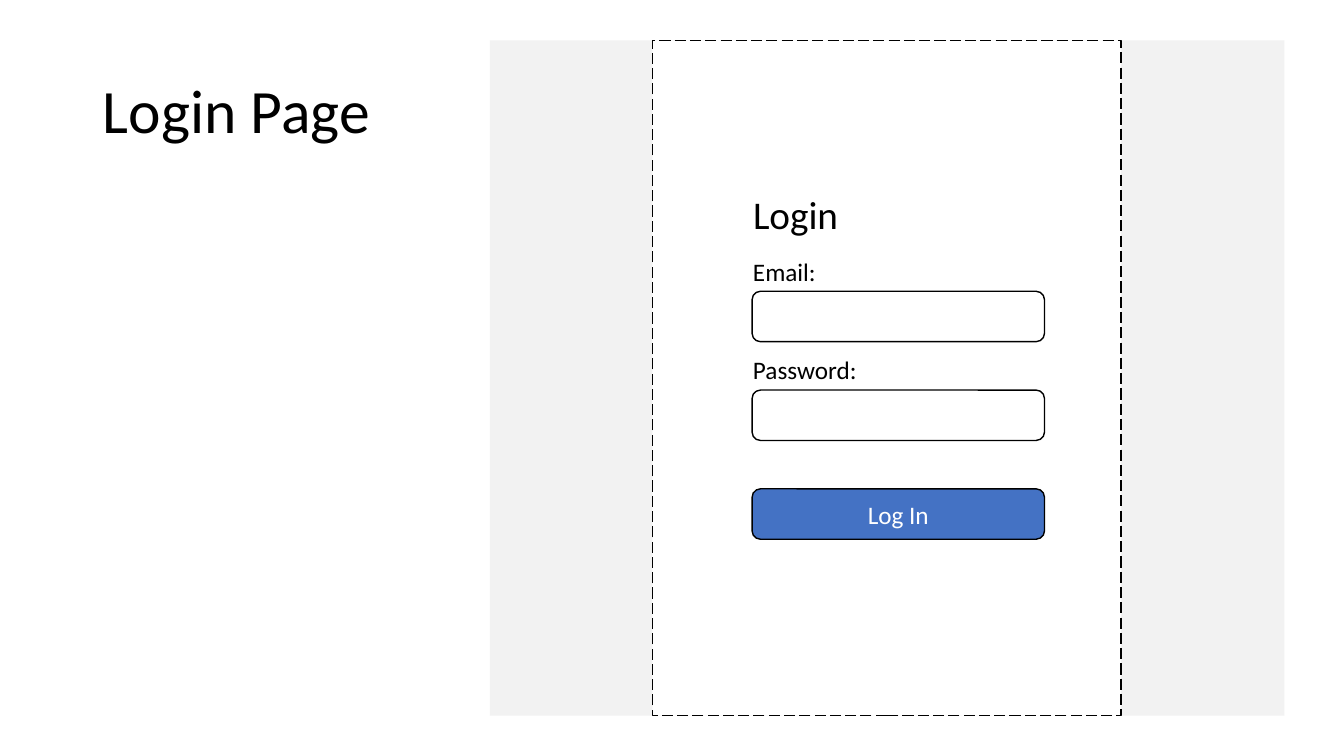
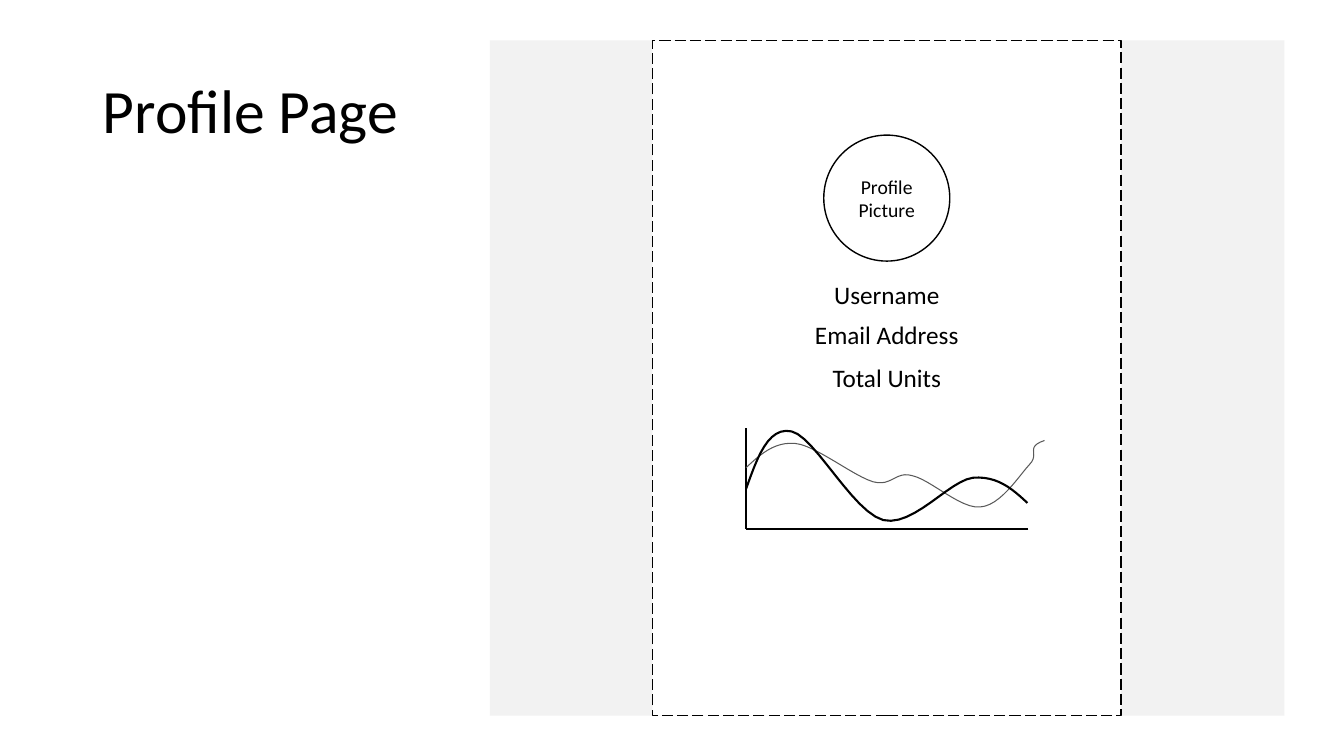
from pptx import Presentation
from pptx import util as u
from pptx.dml.color import RGBColor
from pptx.enum import dml, shapes, text
from pptx.oxml.ns import qn
from lxml import etree

FONT = "Calibri"
BLACK, WHITE, PANEL_GREY, CURVE_GREY, BLUE = "000000", "FFFFFF", "F2F2F2", "595959", "4472C4"
WIDTH, HEIGHT = 13.33, 7.5
TOP, BODY_HEIGHT = 0.4, 6.7
PANEL = (4.86, TOP, 7.88, BODY_HEIGHT)
FRAME = (6.47, TOP, 4.65, BODY_HEIGHT)
TITLE = (0.92, TOP, 11.5, 1.45)
LINE_HEIGHT = 0.4

# Login form: a column of equal fields
FIELD_LEFT, FIELD_TOP, FIELD_WIDTH, FIELD_HEIGHT, FIELD_PITCH = 7.46, 2.89, 2.9, 0.5, 0.98
LABEL_LEFT = 7.37

# Sketched chart: origin, extent, and curves as Bezier control points
AXIS_LEFT, AXIS_BOTTOM, AXIS_WIDTH, AXIS_HEIGHT = 7.4, 5.25, 2.8, 1
CURVE_STEPS = 12
CURVES = [
    (CURVE_GREY, 0.75, [
        (7.4, 4.64), (7.54, 4.51), (7.68, 4.38), (7.89, 4.4), (8.09, 4.42), (8.46, 4.72),
        (8.66, 4.78), (8.85, 4.83), (8.88, 4.67), (9.05, 4.72), (9.23, 4.76), (9.53, 5.05),
        (9.72, 5.03), (9.92, 5.02), (10.1, 4.73), (10.21, 4.61), (10.32, 4.5), (10.16, 4.44),
        (10.36, 4.37)]),
    (BLACK, 1.5, [
        (7.4, 4.85), (7.51, 4.54), (7.62, 4.23), (7.85, 4.28), (8.08, 4.33), (8.46, 5.08),
        (8.76, 5.16), (9.06, 5.23), (9.41, 4.77), (9.65, 4.74), (9.89, 4.72), (10.04, 4.85),
        (10.19, 4.99)]),
]


def color(value):
    """Turn a hex string into a colour."""
    return RGBColor.from_string(value)


def inches(values):
    """Convert a sequence of inches to lengths."""
    return [u.Inches(value) for value in values]


def write(shape, words, size=18, ink=BLACK, align=text.PP_ALIGN.LEFT,
          anchor=text.MSO_ANCHOR.TOP, wrap=True, spacing=None):
    """Put one formatted paragraph into a shape."""
    frame = shape.text_frame
    frame.word_wrap = wrap
    frame.vertical_anchor = anchor
    para = frame.paragraphs[0]
    para.alignment = align
    para.line_spacing = spacing
    span = para.add_run()
    span.text = words
    span.font.name = FONT
    span.font.size = u.Pt(size)
    span.font.color.rgb = color(ink)


def set_line(line, ink, width):
    """Give a line its colour and width."""
    line.color.rgb = color(ink)
    line.width = u.Pt(width)


def add_box(page, kind, place, fill=WHITE, ink=BLACK):
    """Add a filled preset shape, outlined unless ink is None."""
    box = page.shapes.add_shape(kind, *inches(place))
    box.shadow.inherit = False
    box.fill.solid()
    box.fill.fore_color.rgb = color(fill)
    if ink:
        set_line(box.line, ink, 1)
    else:
        box.line.fill.background()
    return box


def add_label(page, words, place, **style):
    """Add a text box that grows with its text."""
    label = page.shapes.add_textbox(*inches(place))
    write(label, words, **style)
    label.text_frame.auto_size = text.MSO_AUTO_SIZE.SHAPE_TO_FIT_TEXT


def add_axis(page, start, end):
    """Add a straight chart axis."""
    axis = page.shapes.add_connector(shapes.MSO_CONNECTOR.STRAIGHT, *inches(start + end))
    set_line(axis.line, BLACK, 1.5)
    etree.SubElement(axis._element.spPr, qn("a:effectLst"))


def bezier_points(controls):
    """List points along a chain of cubic Bezier segments."""
    points = [controls[0]]
    for first in range(0, len(controls) - 1, 3):
        segment = controls[first:first + 4]
        for step in range(1, CURVE_STEPS + 1):
            t = step / CURVE_STEPS
            weights = ((1 - t) ** 3, 3 * t * (1 - t) ** 2, 3 * t ** 2 * (1 - t), t ** 3)
            points.append(tuple(sum(weight * point[axis] for weight, point in zip(weights, segment))
                                for axis in (0, 1)))
    return points


def add_curve(page, ink, width, controls):
    """Draw an open, smooth curve."""
    start, *rest = [inches(point) for point in bezier_points(controls)]
    builder = page.shapes.build_freeform(*start)
    builder.add_line_segments(rest, close=False)
    curve = builder.convert_to_shape()
    curve.shadow.inherit = False
    curve.fill.background()
    set_line(curve.line, ink, width)


def add_page(deck, heading):
    """Add a slide with the shared panel, title and dashed frame."""
    page = deck.slides.add_slide(deck.slide_layouts[5])
    add_box(page, shapes.MSO_SHAPE.RECTANGLE, PANEL, fill=PANEL_GREY, ink=None)
    title = page.shapes.title
    title.left, title.top, title.width, title.height = inches(TITLE)
    write(title, heading, size=44, anchor=text.MSO_ANCHOR.MIDDLE, spacing=0.9)
    page.shapes._spTree.append(title._element)
    frame = add_box(page, shapes.MSO_SHAPE.RECTANGLE, FRAME)
    frame.line.dash_style = dml.MSO_LINE.LONG_DASH
    return page


def add_field(page, row, fill=WHITE):
    """Add the rounded field on a row of the form."""
    place = (FIELD_LEFT, FIELD_TOP + row * FIELD_PITCH, FIELD_WIDTH, FIELD_HEIGHT)
    return add_box(page, shapes.MSO_SHAPE.ROUNDED_RECTANGLE, place, fill=fill)


def build_login(deck):
    """Build the login page."""
    page = add_page(deck, "Login Page")
    add_label(page, "Login", (LABEL_LEFT, 1.84, 1.05, 0.57), size=28, wrap=False)
    for row, (words, width) in enumerate([("Email:", 0.83), ("Password:", 1.24)]):
        add_field(page, row)
        top = FIELD_TOP + row * FIELD_PITCH - LINE_HEIGHT
        add_label(page, words, (LABEL_LEFT, top, width, LINE_HEIGHT), wrap=False)
    button = add_field(page, 2, fill=BLUE)
    write(button, "Log In", ink=WHITE, align=text.PP_ALIGN.CENTER, anchor=text.MSO_ANCHOR.MIDDLE)


def build_profile(deck):
    """Build the profile page."""
    page = add_page(deck, "Profile Page")
    left, _, width, _ = FRAME
    for words, top in [("Username", 2.72), ("Email Address", 3.12), ("Total Units", 3.55)]:
        add_label(page, words, (left, top, width, LINE_HEIGHT), align=text.PP_ALIGN.CENTER)
    diameter = 1.25
    portrait = add_box(page, shapes.MSO_SHAPE.OVAL,
                       (left + (width - diameter) / 2, 1.34, diameter, diameter))
    write(portrait, "Profile Picture", size=14, align=text.PP_ALIGN.CENTER,
          anchor=text.MSO_ANCHOR.MIDDLE)
    origin = (AXIS_LEFT, AXIS_BOTTOM)
    add_axis(page, (AXIS_LEFT, AXIS_BOTTOM - AXIS_HEIGHT), origin)
    add_axis(page, (AXIS_LEFT + AXIS_WIDTH, AXIS_BOTTOM), origin)
    for ink, thickness, controls in CURVES:
        add_curve(page, ink, thickness, controls)


def main():
    """Build and save the deck."""
    deck = Presentation()
    deck.slide_width, deck.slide_height = inches((WIDTH, HEIGHT))
    build_login(deck)
    build_profile(deck)
    deck.save("out.pptx")


main()
